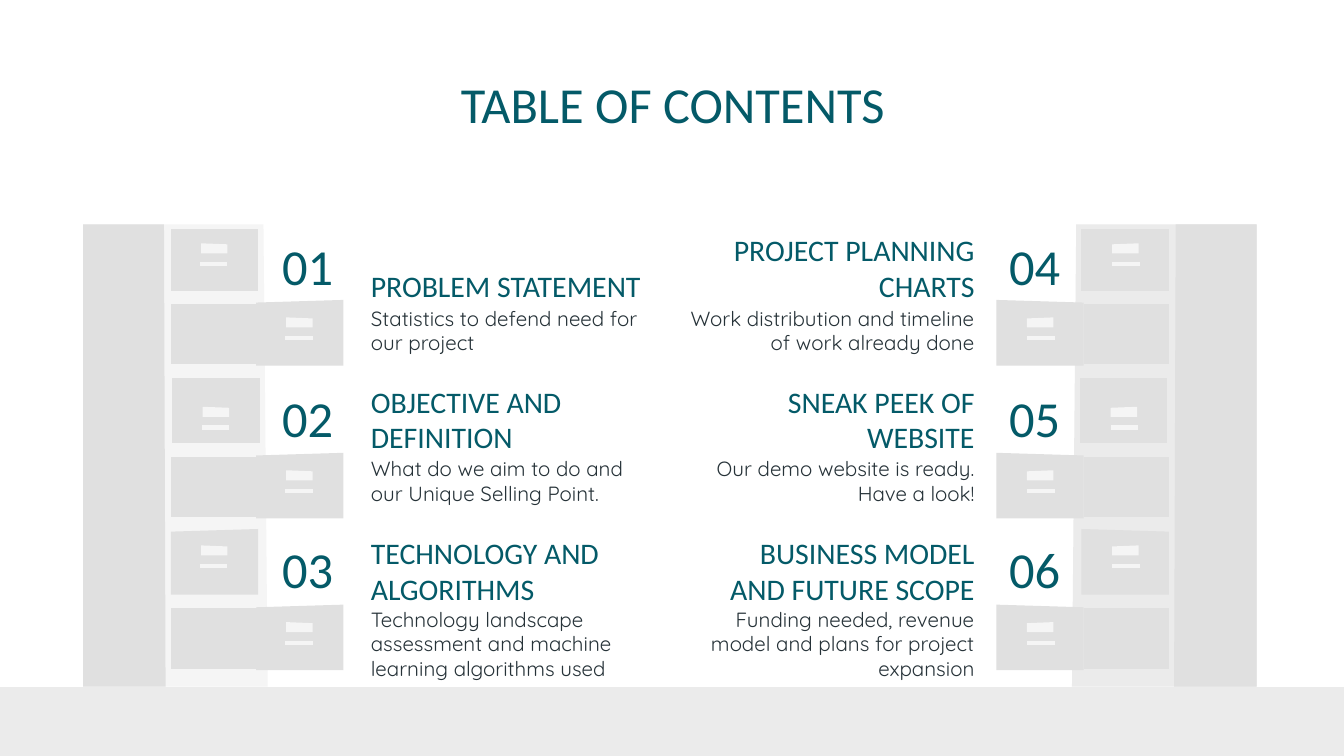
from dataclasses import dataclass

from pptx import Presentation
from pptx.dml.color import RGBColor
from pptx.enum.text import MSO_ANCHOR as Anchor, MSO_AUTO_SIZE as Fit, PP_ALIGN as Align
from pptx.shapes.autoshape import Shape
from pptx.slide import Slide
from pptx.text.text import TextFrame
from pptx.util import Cm, Pt

HEX = {"teal": "045A68", "ink": "263238", "floor": "EBEBEB",
       "steel": "E0E0E0", "pale": "F5F5F5"}
WIDTH, HEIGHT, FLOOR = 25.4, 14.29, 12.98
MIRROR = 25.32  # sum of matching x values in the two cabinets
Points = list[tuple[float, float]]


@dataclass
class Style:
    font: str
    size: int
    color: str


@dataclass
class Entry:
    num: str
    head: str
    note: str
    wide: float = 5.69


@dataclass
class Drawer:
    x: float
    y: float
    tall: float
    slope: float  # drop of the top edge on the inner side
    grip: float   # handle offset below the top


TITLE = Style("Calibri", 27, "teal")
HEAD = Style("Calibri", 16, "teal")
NOTE = Style("Quicksand", 11, "ink")

LEFT = [
    Entry("01", "PROBLEM STATEMENT", "Statistics to defend need for our project"),
    Entry("02", "OBJECTIVE AND DEFINITION",
          "What do we aim to do and our Unique Selling Point."),
    Entry("03", "TECHNOLOGY AND ALGORITHMS",
          "Technology landscape assessment and machine learning algorithms used"),
]
RIGHT = [
    Entry("04", "PROJECT PLANNING CHARTS",
          "Work distribution and timeline of work already done", 6.05),
    Entry("05", "SNEAK PEEK OF WEBSITE", "Our demo website is ready. Have a look!"),
    Entry("06", "BUSINESS MODEL AND FUTURE SCOPE",
          "Funding needed, revenue model and plans for project expansion"),
]
ROWS, NOTES = [4.19, 7.06, 9.93], [5.99, 8.84, 11.91]

SHUT = [Drawer(3.23, 4.33, 1.18, 0, 0.27), Drawer(3.26, 7.14, 1.24, 0, 0.55),
        Drawer(3.23, 10, 1.24, 0.05, 0.31)]
OPEN = [Drawer(4.84, y, 1.24, 0.05, 0.33) for y in (5.67, 8.56, 11.43)]


def write(frame: TextFrame, text: str, style: Style, align: Align, anchor: Anchor) -> None:
    frame.word_wrap = True
    frame.auto_size = Fit.NONE
    frame.vertical_anchor = anchor
    frame.margin_left = frame.margin_right = Cm(0.25)
    frame.margin_top = frame.margin_bottom = Cm(0.25)
    para = frame.paragraphs[0]
    para.alignment = align
    run = para.add_run()
    run.text = text
    run.font.name = style.font
    run.font.size = Pt(style.size)
    run.font.color.rgb = RGBColor.from_string(HEX[style.color])


def label(slide: Slide, x: float, y: float, w: float, h: float, text: str,
          style: Style, align: Align, anchor: Anchor) -> None:
    box = slide.shapes.add_textbox(Cm(x), Cm(y), Cm(w), Cm(h))
    write(box.text_frame, text, style, align, anchor)


def shape(slide: Slide, points: Points, color: str, flip: bool = False) -> Shape:
    spots = [(Cm(MIRROR - x if flip else x), Cm(y)) for x, y in points]
    pen = slide.shapes.build_freeform(*spots[0])
    pen.add_line_segments(spots[1:], close=True)
    form = pen.convert_to_shape()
    form.shadow.inherit = False
    form.fill.solid()
    form.fill.fore_color.rgb = RGBColor.from_string(HEX[color])
    form.line.fill.background()
    return form


def quad(x: float, y: float, w: float, h: float,
         left: float = 0, right: float = 0) -> Points:
    """Box whose top corners may be lowered."""
    return [(x, y + left), (x + w, y + right), (x + w, y + h), (x, y + h)]


def drawer(slide: Slide, item: Drawer, flip: bool) -> list[Shape]:
    x, y = item.x + 0.57, item.y + item.grip
    return [
        shape(slide, quad(item.x, item.y, 1.65, item.tall, left=item.slope), "steel", flip),
        shape(slide, quad(x, y, 0.5, 0.19, right=0.02), "pale", flip),
        shape(slide, quad(x - 0.02, y + 0.35, 0.52, 0.08), "pale", flip),
    ]


def cabinet(slide: Slide, color: str, flip: bool) -> None:
    top = 4.24
    body = [(1.57, top), (1.57, FLOOR), (5.06, FLOOR), (4.98, top)]
    side = [(1.57, top), (1.57, FLOOR), (3.13, FLOOR), (3.1, top)]
    parts = [shape(slide, body, color, flip), shape(slide, side, "steel", flip)]
    for item in SHUT + OPEN:
        parts += drawer(slide, item, flip)
    for item in OPEN:
        parts.append(shape(slide, quad(3.23, item.y + 0.07, 1.61, 1.15), "steel", flip))
    slide.shapes.add_group_shape(parts)


def column(slide: Slide, items: list[Entry], flip: bool) -> None:
    align = Align.RIGHT if flip else Align.LEFT
    edge = 18.67  # right edge of the right-hand text
    for item, y, low in zip(items, ROWS, NOTES):
        label(slide, edge - 5.69 if flip else 6.76, y, 5.69, 1.79,
              item.head, HEAD, align, Anchor.BOTTOM)
        label(slide, edge - item.wide if flip else 6.76, low, item.wide, 0.51,
              item.note, NOTE, align, Anchor.MIDDLE)
        label(slide, 18.64 if flip else 4.9, y, 1.83, 2.29,
              item.num, TITLE, Align.CENTER, Anchor.TOP)


def main() -> None:
    deck = Presentation()
    deck.slide_width, deck.slide_height = Cm(WIDTH), Cm(HEIGHT)
    slide = deck.slides.add_slide(deck.slide_layouts.get_by_name("Title Only"))

    # Floor
    shape(slide, quad(0, FLOOR, WIDTH, HEIGHT - FLOOR), "floor")

    # Title
    title = slide.shapes.title
    title.left, title.top, title.width, title.height = Cm(2.01), Cm(1.5), Cm(21.41), Cm(0.89)
    write(title.text_frame, "TABLE OF CONTENTS", TITLE, Align.CENTER, Anchor.MIDDLE)

    # Contents
    column(slide, LEFT, False)
    column(slide, RIGHT, True)

    # Filing cabinets
    cabinet(slide, "floor", True)
    cabinet(slide, "pale", False)

    deck.save("out.pptx")


if __name__ == "__main__":
    main()
